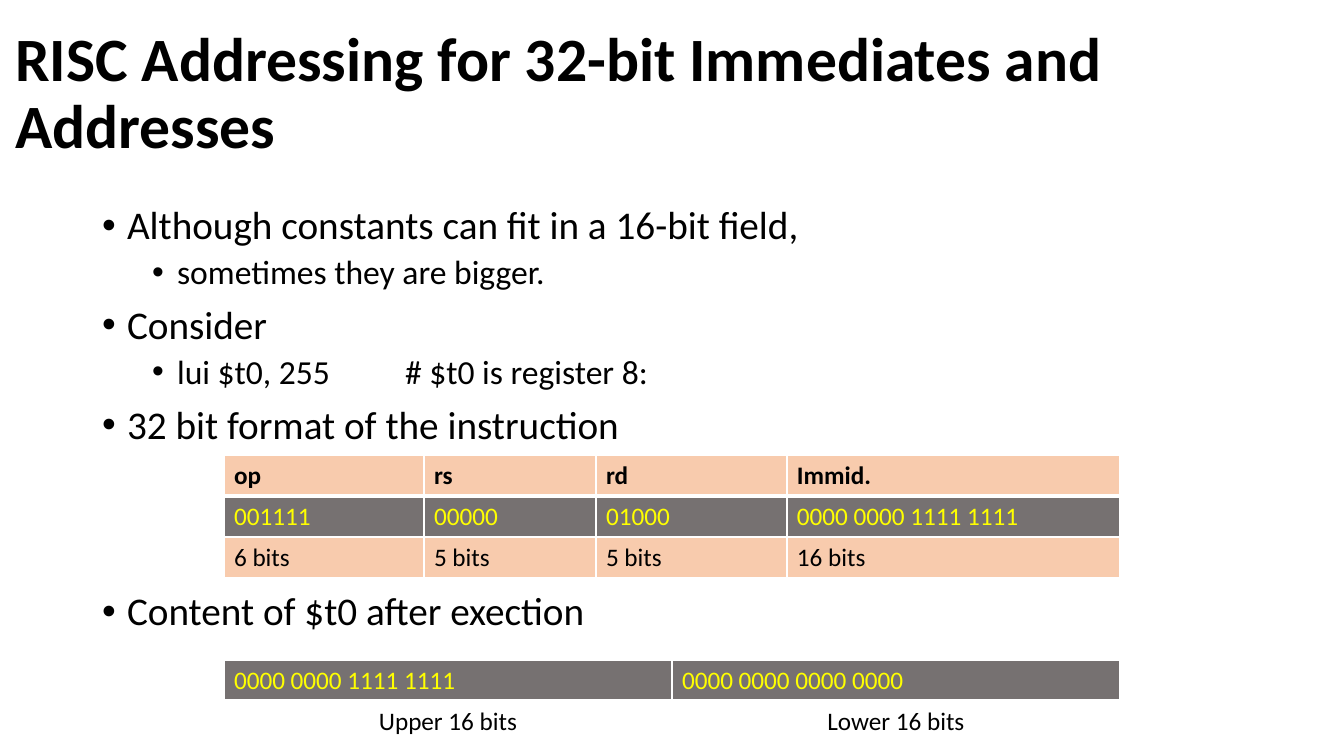
from lxml import etree
from pptx import Presentation
from pptx.enum.text import MSO_ANCHOR, MSO_AUTO_SIZE, PP_ALIGN
from pptx.dml.color import RGBColor
from pptx.oxml.ns import qn
from pptx.util import Pt

LEFT, CENTER = PP_ALIGN.LEFT, PP_ALIGN.CENTER
TOP, MIDDLE = MSO_ANCHOR.TOP, MSO_ANCHOR.MIDDLE
NO_FIT = MSO_AUTO_SIZE.NONE

SLIDE_W, SLIDE_H = 1344, 756
EMU_PER_PX = 12192000 / SLIDE_W
FONT = "Calibri"
COLORS = {"text": "000000", "bits": "FFFF00", "peach": "F8CBAD",
          "gray": "767171", "white": "FFFFFF"}
ROW_H = 41
TAB_W = 101


def px(n):
    return round(n * EMU_PER_PX)


def place(s, box):
    s.left, s.top, s.width, s.height = map(px, box)


def write(p, text, size=18, color="text", bold=False, align=LEFT):
    p.alignment = align
    r = p.add_run()
    r.text = text
    r.font.name, r.font.size, r.font.bold = FONT, Pt(size), bold
    r.font.color.rgb = RGBColor.from_string(COLORS[color])


def set_bullet(p, level):
    pPr = p._p.get_or_add_pPr()
    pPr.set("marL", str(px(25 + 50 * level)))
    pPr.set("indent", str(px(-25)))
    pPr.set("defTabSz", str(px(TAB_W)))
    etree.SubElement(pPr, qn("a:buFont"), typeface="Arial")
    etree.SubElement(pPr, qn("a:buChar"), char="•")


def set_borders(cell, bottom=1):
    tcPr = cell._tc.get_or_add_tcPr()
    for side, width in (("L", 1), ("R", 1), ("T", 1), ("B", bottom)):
        ln = etree.SubElement(tcPr, qn(f"a:ln{side}"), w=str(Pt(width)))
        fill = etree.SubElement(ln, qn("a:solidFill"))
        etree.SubElement(fill, qn("a:srgbClr"), val=COLORS["white"])


def add_title(s, box, text):
    place(s, box)
    tf = s.text_frame
    tf.vertical_anchor, tf.auto_size = MIDDLE, NO_FIT
    p = tf.paragraphs[0]
    p.line_spacing = 0.9
    write(p, text, size=44, bold=True)


def add_body(s, box, items):
    """Each item is (level, text, space before in points)."""
    place(s, box)
    tf = s.text_frame
    tf.vertical_anchor, tf.auto_size = TOP, NO_FIT
    for i, (level, text, before) in enumerate(items):
        p = tf.add_paragraph() if i else tf.paragraphs[0]
        p.level, p.line_spacing, p.space_before = level, 0.9, Pt(before)
        set_bullet(p, level)
        write(p, text, size=24 if level else 28)


def add_table(slide, left, top, widths, rows):
    """Each row is (texts, fill, bottom border width, text format)."""
    table = slide.shapes.add_table(
        len(rows), len(widths), px(left), px(top),
        px(sum(widths)), px(ROW_H * len(rows))).table
    table.first_row = table.horz_banding = False
    for col, width in zip(table.columns, widths):
        col.width = px(width)
    for i, (texts, fill, bottom, fmt) in enumerate(rows):
        table.rows[i].height = px(ROW_H)
        for j, text in enumerate(texts):
            cell = table.cell(i, j)
            set_borders(cell, bottom)
            cell.fill.solid()
            cell.fill.fore_color.rgb = RGBColor.from_string(COLORS[fill])
            write(cell.text_frame.paragraphs[0], text, **fmt)


def main():
    prs = Presentation()
    prs.slide_width, prs.slide_height = px(SLIDE_W), px(SLIDE_H)
    slide = prs.slides.add_slide(prs.slide_layouts[1])

    # Title and bullets; the last bullet leaves room for the format table
    add_title(slide.shapes.title, (5, 22, 1334, 146),
              "RISC Addressing for 32-bit Immediates and Addresses")
    add_body(slide.placeholders[1], (92, 201, 1159, 447), [
        (0, "Although constants can fit in a 16-bit field,", 10),
        (1, "sometimes they are bigger.", 5),
        (0, "Consider", 10),
        (1, "lui $t0, 255 \t# $t0 is register 8:", 5),
        (0, "32 bit format of the instruction", 10),
        (0, "Content of $t0 after exection", 103),
    ])

    # Instruction format
    add_table(slide, 224, 455, (200, 172, 191, 333), [
        (("op", "rs", "rd", "Immid."), "peach", 3, {"bold": True}),
        (("001111", "00000", "01000", "0000 0000 1111 1111"),
         "gray", 1, {"color": "bits"}),
        (("6 bits", "5 bits", "5 bits", "16 bits"), "peach", 1, {}),
    ])

    # Register content
    add_table(slide, 224, 660, (448, 448), [
        (("0000 0000 1111 1111", "0000 0000 0000 0000"),
         "gray", 3, {"color": "bits"}),
        (("Upper 16 bits", "Lower 16 bits"), "white", 1, {"align": CENTER}),
    ])
    prs.save("out.pptx")


if __name__ == "__main__":
    main()
